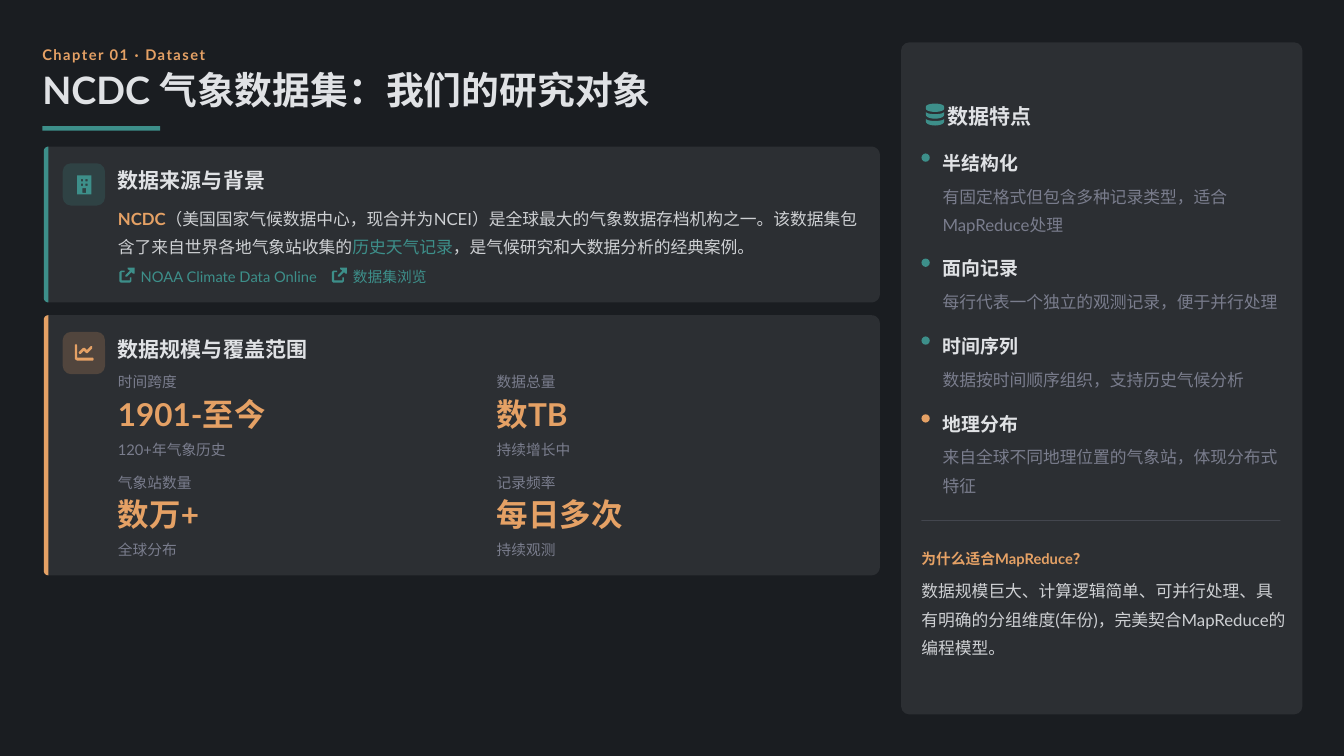
from math import cos, pi, sin

from pptx import Presentation
from pptx.dml.color import RGBColor
from pptx.enum.shapes import MSO_SHAPE
from pptx.enum.text import MSO_ANCHOR, MSO_AUTO_SIZE, PP_ALIGN
from pptx.oxml.ns import qn
from pptx.util import Inches, Pt
from lxml import etree

BACKGROUND = RGBColor(0x1A, 0x1D, 0x21)
PANEL = RGBColor(0x2C, 0x2F, 0x33)
TEAL = RGBColor(0x3D, 0x8F, 0x8A)
ORANGE = RGBColor(0xE5, 0xA1, 0x65)
LIGHT = RGBColor(0xE0, 0xE2, 0xE5)
GRAY = RGBColor(0x7A, 0x7D, 0x8D)
FONT = "Lato"


# Shared helpers
def fade(shape, color, percent):
    """Make every use of a colour in the shape partly transparent."""
    for element in shape.element.iter(qn("a:srgbClr")):
        if element.get("val") == str(color):
            etree.SubElement(element, qn("a:alpha")).set("val", str(percent * 1000))


def paint(shape, color):
    shape.shadow.inherit = False
    shape.fill.solid()
    shape.fill.fore_color.rgb = color
    shape.line.fill.background()
    return shape


def add_block(slide, kind, left, top, width, height, color, radius=0):
    shape = slide.shapes.add_shape(
        kind, Inches(left), Inches(top), Inches(width), Inches(height))
    if radius:
        shape.adjustments[0] = radius / min(width, height)
    return paint(shape, color)


def add_outline(slide, left, top, contours, color):
    """Draw closed contours whose points are relative to left and top."""
    builder = None
    for contour in contours:
        points = [(Inches(left + x), Inches(top + y)) for x, y in contour]
        if builder is None:
            builder = slide.shapes.build_freeform(*points[0], scale=1.0)
        else:
            builder.move_to(*points[0])
        builder.add_line_segments(points[1:], close=True)
    return paint(builder.convert_to_shape(), color)


def arc(center_x, center_y, radius_x, radius_y, start, end, steps=12):
    angles = [start + (end - start) * i / steps for i in range(steps + 1)]
    return [(center_x + radius_x * cos(a), center_y + radius_y * sin(a)) for a in angles]


def rectangle(left, top, width, height):
    right, bottom = left + width, top + height
    return [(left, top), (right, top), (right, bottom), (left, bottom)]


def rounded(width, height, left_radius, right_radius):
    near, far = left_radius, right_radius
    return (arc(near, near, near, near, pi, 1.5 * pi)
            + arc(width - far, far, far, far, 1.5 * pi, 2 * pi)
            + arc(width - far, height - far, far, far, 0, pi / 2)
            + arc(near, height - near, near, near, pi / 2, pi))


def set_font(font, size, color, bold):
    font.name, font.size, font.bold = FONT, Pt(size), bold
    font.color.rgb = color


def prepare_frame(frame, spacing):
    frame.word_wrap = True
    frame.auto_size = MSO_AUTO_SIZE.NONE
    frame.vertical_anchor = MSO_ANCHOR.MIDDLE
    frame.margin_left = frame.margin_right = frame.margin_top = frame.margin_bottom = 0
    paragraph = frame.paragraphs[0]
    paragraph.alignment = PP_ALIGN.LEFT
    paragraph.line_spacing = spacing
    return paragraph


def add_text(slide, left, top, width, height, text, size, color, bold=False, spacing=1.2):
    """Add a text box; text is a string or a list of (text, colour, bold) runs."""
    box = slide.shapes.add_textbox(Inches(left), Inches(top), Inches(width), Inches(height))
    paragraph = prepare_frame(box.text_frame, spacing)
    if isinstance(text, str):
        paragraph.text = text
        set_font(paragraph.font, size, color, bold)
    else:
        for part, part_color, part_bold in text:
            run = paragraph.add_run()
            run.text = part
            set_font(run.font, size, part_color, part_bold)
    return box


# Icons, as contours in inches from the icon's corner
BUILDING = [rectangle(0, 0, 0.19, 0.25), rectangle(0.07, 0.17, 0.05, 0.06)] + [
    rectangle(x, y, 0.03, 0.03) for y in (0.05, 0.11) for x in (0.05, 0.11)]
CHART = [
    [(0, 0.01), (0.02, 0), (0.03, 0.02), (0.03, 0.18), (0.24, 0.18), (0.25, 0.2),
     (0.24, 0.22), (0.03, 0.22), (0, 0.2)],
    [(0.05, 0.11), (0.11, 0.05), (0.13, 0.05), (0.16, 0.08), (0.21, 0.03), (0.23, 0.03),
     (0.23, 0.06), (0.17, 0.12), (0.15, 0.12), (0.12, 0.09), (0.08, 0.13), (0.06, 0.13)]]
EXTERNAL_LINK = [
    [(0.11, 0), (0.2, 0), (0.2, 0.08), (0.18, 0.08), (0.16, 0.06), (0.1, 0.12),
     (0.08, 0.12), (0.08, 0.1), (0.14, 0.04), (0.11, 0.02)],
    [(0.02, 0.04), (0.07, 0.04), (0.07, 0.06), (0.03, 0.06), (0.03, 0.17), (0.14, 0.17),
     (0.14, 0.13), (0.16, 0.13), (0.16, 0.18), (0.14, 0.2), (0.02, 0.2), (0, 0.18),
     (0, 0.06)]]
DATABASE = [arc(0.12, 0.04, 0.12, 0.04, pi, 2 * pi) + arc(0.12, 0.07, 0.12, 0.04, 0, pi)] + [
    arc(0.12, y, 0.12, 0.03, pi, 0) + arc(0.12, y + 0.04, 0.12, 0.05, 0, pi)
    for y in (0.11, 0.2)]


# Heading
def add_heading(slide, left, top):
    label = add_text(slide, left, top, 11.18, 0.28, "Chapter 01 · Dataset", 14, ORANGE, True)
    for properties in label.element.iter(qn("a:defRPr"), qn("a:rPr")):
        properties.set("spc", "140")
    title = slide.shapes.title
    title.left, title.top = Inches(left), Inches(top + 0.38)
    title.width, title.height = Inches(11.33), Inches(0.56)
    paragraph = prepare_frame(title.text_frame, 0.9)
    paragraph.text = "NCDC 气象数据集：我们的研究对象"
    set_font(paragraph.font, 36, LIGHT, True)
    add_block(slide, MSO_SHAPE.RECTANGLE, left, top + 1.11, 1.56, 0.06, TEAL)


# Card with accent edge, icon tile and heading
def add_card(slide, left, top, width, height, accent, icon, icon_offset, heading):
    add_outline(slide, left, top, [rounded(width, height, 0.06, 0.11)], PANEL)
    add_outline(slide, left, top, [rounded(0.06, height, 0.06, 0)], accent)
    tile = add_block(slide, MSO_SHAPE.ROUNDED_RECTANGLE,
                     left + 0.25, top + 0.22, 0.56, 0.56, accent, 0.11)
    fade(tile, accent, 20)
    add_outline(slide, left + icon_offset, top + 0.38, icon, accent)
    add_text(slide, left + 0.98, top + 0.22, 10, 0.39, heading, 20, LIGHT, True)


def add_source_card(slide, left, top, width, height):
    add_card(slide, left, top, width, height, TEAL, BUILDING, 0.44, "数据来源与背景")
    body = add_text(slide, left + 0.98, top + 0.73, 9.97, 0.72, [
        ("NCDC", ORANGE, True),
        ("（美国国家气候数据中心，现合并为NCEI）是全球最大的气象数据存档机构之一。"
         "该数据集包含了来自世界各地气象站收集的", LIGHT, False),
        ("历史天气记录", TEAL, False),
        ("，是气候研究和大数据分析的经典案例。", LIGHT, False),
    ], 16, LIGHT, spacing=1.4)
    fade(body, LIGHT, 90)
    for offset, text_width, text in ((1, 2.49, "NOAA Climate Data Online"),
                                     (3.81, 1.07, "数据集浏览")):
        add_outline(slide, left + offset, top + 1.6, EXTERNAL_LINK, TEAL)
        add_text(slide, left + offset + 0.28, top + 1.56, text_width, 0.28, text, 14, TEAL)


def add_scale_card(slide, left, top, width, height):
    add_card(slide, left, top, width, height, ORANGE, CHART, 0.41, "数据规模与覆盖范围")
    statistics = [("时间跨度", "1901-至今", "120+年气象历史"),
                  ("数据总量", "数TB", "持续增长中"),
                  ("气象站数量", "数万+", "全球分布"),
                  ("记录频率", "每日多次", "持续观测")]
    for index, (label, value, note) in enumerate(statistics):
        row, column = divmod(index, 2)
        x, y = left + 0.98 + 5.01 * column, top + 0.72 + 1.33 * row
        add_text(slide, x, y, 4.94, 0.28, label, 14, GRAY)
        add_text(slide, x, y + 0.33, 5.06, 0.5, value, 30, ORANGE, True, 1.0)
        add_text(slide, x, y + 0.89, 4.94, 0.28, note, 14, GRAY)


# Side panel with features and conclusion
def add_features_panel(slide, left, top, width, height):
    add_block(slide, MSO_SHAPE.ROUNDED_RECTANGLE, left, top, width, height, PANEL, 0.11)
    add_outline(slide, left + 0.33, top + 0.81, DATABASE, TEAL)
    add_text(slide, left + 0.62, top + 0.75, 4.54, 0.39, "数据特点", 20, LIGHT, True)
    features = [("半结构化", "有固定格式但包含多种记录类型，适合MapReduce处理", 2, TEAL),
                ("面向记录", "每行代表一个独立的观测记录，便于并行处理", 1, TEAL),
                ("时间序列", "数据按时间顺序组织，支持历史气候分析", 1, TEAL),
                ("地理分布", "来自全球不同地理位置的气象站，体现分布式特征", 2, ORANGE)]
    x, y = left + 0.27, top + 1.36
    for name, description, lines, color in features:
        add_block(slide, MSO_SHAPE.OVAL, x, y + 0.11, 0.11, 0.11, color)
        add_text(slide, x + 0.28, y, 4.58, 0.39, name, 18, LIGHT, True, 1.3)
        add_text(slide, x + 0.28, y + 0.45, 4.58, 0.36 * lines, description, 16, GRAY,
                 spacing=1.4)
        y += 0.67 + 0.36 * lines
    divider = add_block(slide, MSO_SHAPE.RECTANGLE, x, top + 6.32, 4.75, 0.01, GRAY)
    fade(divider, GRAY, 30)
    add_text(slide, x, top + 6.66, 4.85, 0.28, "为什么适合MapReduce？", 14, ORANGE, True)
    conclusion = add_text(
        slide, x, top + 7.04, 4.86, 1.08,
        "数据规模巨大、计算逻辑简单、可并行处理、具有明确的分组维度(年份)，"
        "完美契合MapReduce的编程模型。", 16, LIGHT, spacing=1.4)
    fade(conclusion, LIGHT, 90)


def main():
    presentation = Presentation()
    presentation.slide_width, presentation.slide_height = Inches(17.78), Inches(10)
    slide = presentation.slides.add_slide(presentation.slide_layouts[5])
    slide.background.fill.solid()
    slide.background.fill.fore_color.rgb = BACKGROUND
    add_heading(slide, 0.56, 0.56)
    add_source_card(slide, 0.58, 1.94, 11.06, 2.06)
    add_scale_card(slide, 0.58, 4.17, 11.06, 3.44)
    add_features_panel(slide, 11.92, 0.56, 5.31, 8.89)
    presentation.save("out.pptx")


if __name__ == "__main__":
    main()
